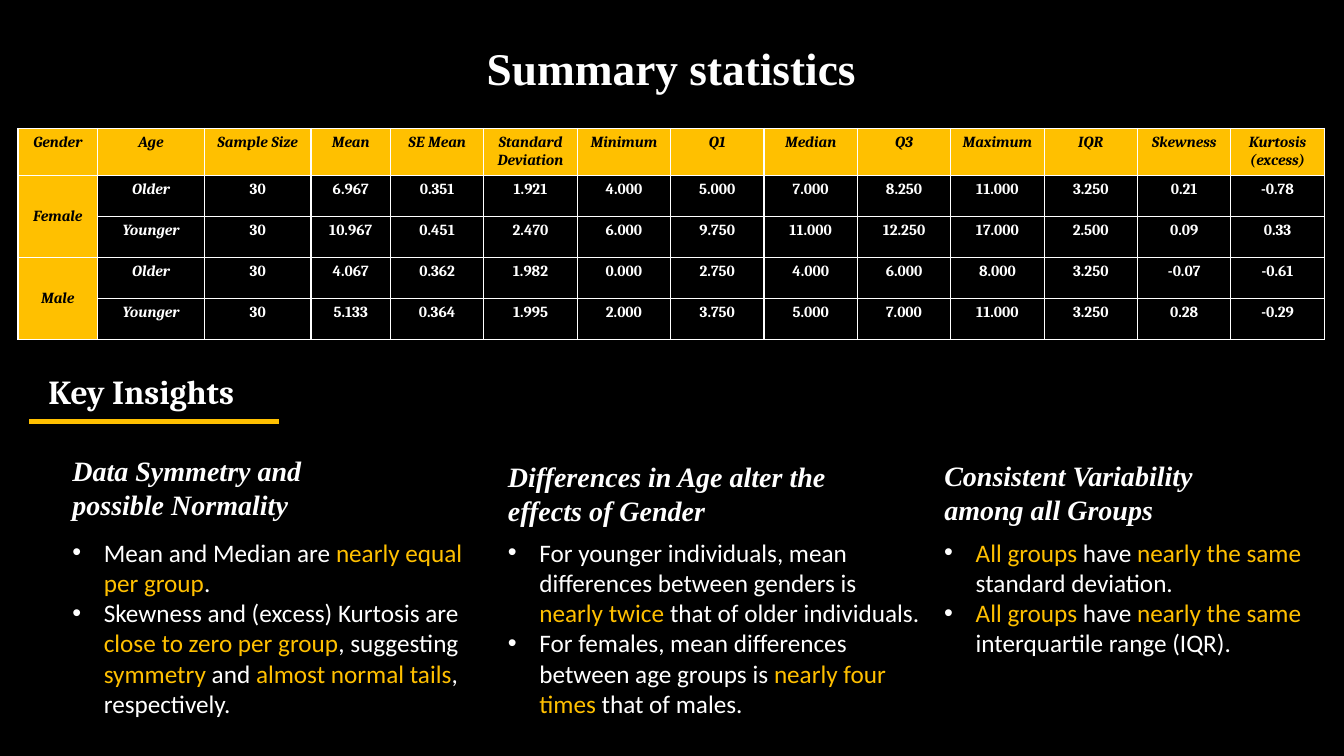
"""Build a summary statistics slide with a table and three key insights."""
from lxml import etree
from pptx import Presentation
from pptx.dml.color import RGBColor
from pptx.enum.shapes import MSO_CONNECTOR
from pptx.enum.text import MSO_ANCHOR, PP_ALIGN
from pptx.oxml import parse_xml
from pptx.oxml.ns import qn
from pptx.util import Pt

STRAIGHT = MSO_CONNECTOR.STRAIGHT
LEFT, CENTER = PP_ALIGN.LEFT, PP_ALIGN.CENTER
TOP, MIDDLE = MSO_ANCHOR.TOP, MSO_ANCHOR.MIDDLE
NAMESPACE = "http://schemas.openxmlformats.org/drawingml/2006/main"
BLACK, WHITE, GOLD = "000000", "FFFFFF", "FFC000"


def color(value):
    return RGBColor.from_string(value)


def write_text(frame, text, *, font, size, fill=WHITE, bold=False, italic=False,
               align=LEFT, anchor=TOP, spacing=None, bullet=False):
    """Write one paragraph per line; stretches between bars are gold."""
    frame.word_wrap = True
    frame.vertical_anchor = anchor
    for index, line in enumerate(text.split("\n")):
        paragraph = frame.add_paragraph() if index else frame.paragraphs[0]
        paragraph.alignment = align
        if spacing:
            paragraph.line_spacing = spacing
        if bullet:
            properties = paragraph._p.get_or_add_pPr()
            properties.set("marL", str(Pt(22.5)))
            properties.set("indent", str(-Pt(22.5)))
            bullet_color = etree.SubElement(properties, qn("a:buClr"))
            etree.SubElement(bullet_color, qn("a:srgbClr"), val=WHITE)
            etree.SubElement(properties, qn("a:buFont"), typeface="Arial")
            etree.SubElement(properties, qn("a:buChar"), char="•")
        for position, part in enumerate(line.split("|")):
            if part:
                run = paragraph.add_run()
                run.text = part
                run.font.name = font
                run.font.size = Pt(size)
                run.font.bold = bold
                run.font.italic = italic
                run.font.color.rgb = color(GOLD if position % 2 else fill)


presentation = Presentation()
presentation.slide_width = Pt(960)
presentation.slide_height = Pt(540)
slide = presentation.slides.add_slide(presentation.slide_layouts[6])
slide.background.fill.solid()
slide.background.fill.fore_color.rgb = color(BLACK)

title = slide.shapes.add_textbox(Pt(340.5), Pt(16), Pt(299.5), Pt(68.5))
write_text(title.text_frame, "Summary statistics", font="Times New Roman", size=32.4,
           bold=True, anchor=MIDDLE, spacing=0.9)

rows = [
    ["Gender", "Age", "Sample Size", "Mean", "SE Mean", "Standard Deviation", "Minimum",
     "Q1", "Median", "Q3", "Maximum", "IQR", "Skewness", "Kurtosis\n(excess)"],
    ["Female", "Older", "30", "6.967", "0.351", "1.921", "4.000",
     "5.000", "7.000", "8.250", "11.000", "3.250", "0.21", "-0.78"],
    ["", "Younger", "30", "10.967", "0.451", "2.470", "6.000",
     "9.750", "11.000", "12.250", "17.000", "2.500", "0.09", "0.33"],
    ["Male", "Older", "30", "4.067", "0.362", "1.982", "0.000",
     "2.750", "4.000", "6.000", "8.000", "3.250", "-0.07", "-0.61"],
    ["", "Younger", "30", "5.133", "0.364", "1.995", "2.000",
     "3.750", "5.000", "7.000", "11.000", "3.250", "0.28", "-0.29"],
]
column_widths = [56.8, 76.4, 76.1, 56.8] + [66.7] * 10
statistics = slide.shapes.add_table(len(rows), len(column_widths), Pt(12.9), Pt(91.8),
                                    Pt(sum(column_widths)), Pt(150)).table
statistics.horz_banding = False
for column, width in zip(statistics.columns, column_widths):
    column.width = Pt(width)
for row_index, row in enumerate(rows):
    statistics.rows[row_index].height = Pt(29.3 if row_index else 32.8)
    for column_index, text in enumerate(row):
        cell = statistics.cell(row_index, column_index)
        heading = row_index == 0 or column_index == 0
        for side in ("lnL", "lnR", "lnT", "lnB"):
            cell._tc.get_or_add_tcPr().append(parse_xml(
                f'<a:{side} xmlns:a="{NAMESPACE}" w="{Pt(1)}"><a:solidFill>'
                f'<a:srgbClr val="{WHITE}"/></a:solidFill></a:{side}>'))
        cell.fill.solid()
        cell.fill.fore_color.rgb = color(GOLD if heading else BLACK)
        write_text(cell.text_frame, text, font="Cambria", size=11, bold=True,
                   italic=heading or column_index == 1, align=CENTER,
                   fill=BLACK if heading else WHITE)
        cell.vertical_anchor = MIDDLE if row_index and column_index == 0 else TOP
for first_row in (1, 3):
    statistics.cell(first_row, 0).merge(statistics.cell(first_row + 1, 0))

insights_heading = slide.shapes.add_textbox(Pt(27.4), Pt(261.4), Pt(169), Pt(36))
write_text(insights_heading.text_frame, "Key Insights", font="Cambria", size=24, bold=True)

underline = slide.shapes.add_connector(STRAIGHT, Pt(20.9), Pt(301), Pt(199.4), Pt(301))
underline.line.color.rgb = color(GOLD)
underline.line.width = Pt(4)
etree.SubElement(underline._element.spPr, qn("a:effectLst"))

insights = [
    (44.6, 320.4, 217, 304, "Data Symmetry and possible Normality",
     "Mean and Median are |nearly equal per group|.\n"
     "Skewness and (excess) Kurtosis are |close to zero per group|, suggesting "
     "|symmetry| and |almost normal tails|, respectively."),
    (355.7, 324.7, 255.6, 311, "Differences in Age alter the effects of Gender",
     "For younger individuals, mean differences between genders is "
     "|nearly twice| that of older individuals.\n"
     "For females, mean differences between age groups is "
     "|nearly four times |that of males."),
    (667.4, 324, 193, 304, "Consistent Variability among all Groups",
     "|All groups |have |nearly the same |standard deviation.\n"
     "|All groups |have |nearly the same |interquartile range (IQR)."),
]
for left, top, heading_width, body_width, heading, body in insights:
    heading_box = slide.shapes.add_textbox(Pt(left), Pt(top), Pt(heading_width), Pt(55.7))
    write_text(heading_box.text_frame, heading, font="Times New Roman", size=20,
               bold=True, italic=True)
    body_height = 94.3 if left > 600 else 138
    body_box = slide.shapes.add_textbox(Pt(left), Pt(380), Pt(body_width), Pt(body_height))
    write_text(body_box.text_frame, body, font="Calibri", size=18, bullet=True)

presentation.save("out.pptx")
